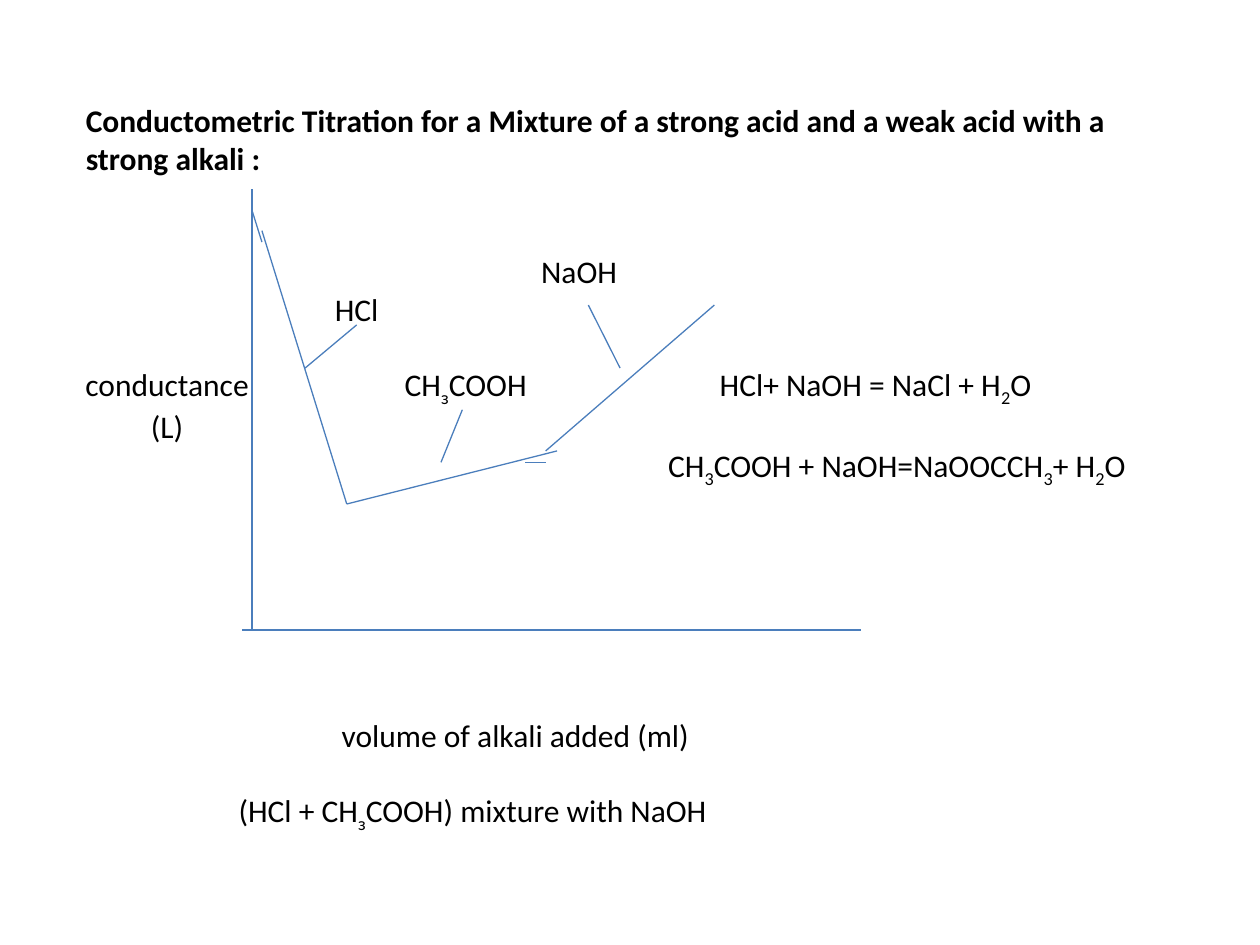
from lxml import etree
from pptx import Presentation
from pptx.dml.color import RGBColor
from pptx.enum.shapes import MSO_CONNECTOR
from pptx.enum.text import PP_ALIGN
from pptx.oxml.ns import qn
from pptx.util import Cm, Pt

STRAIGHT = MSO_CONNECTOR.STRAIGHT
LEFT = PP_ALIGN.LEFT
CENTER = PP_ALIGN.CENTER
COLORS = {"line": "4B7EBC", "text": "000000"}


class SlideBuilder:
    font_name = "Calibri"
    font_size = Pt(18)
    line_width = Pt(0.75)

    def __init__(self, slide):
        self.slide = slide

    def line(self, start_x, start_y, end_x, end_y):
        connector = self.slide.shapes.add_connector(
            STRAIGHT, Cm(start_x), Cm(start_y), Cm(end_x), Cm(end_y))
        connector.line.color.rgb = RGBColor.from_string(COLORS["line"])
        connector.line.width = self.line_width
        etree.SubElement(connector._element.spPr, qn("a:effectLst"))

    def text(self, left, top, width, lines, bold=False, align=LEFT, gap=0):
        height = 0.78 * len(lines)
        shape = self.slide.shapes.add_textbox(Cm(left), Cm(top), Cm(width), Cm(height))
        frame = shape.text_frame
        frame.word_wrap = True
        frame.margin_left = frame.margin_right = 0
        frame.margin_top = frame.margin_bottom = 0
        for index, line in enumerate(lines):
            paragraph = frame.add_paragraph() if index else frame.paragraphs[0]
            paragraph.alignment = align
            paragraph.space_before = Pt(gap if index else 0)
            paragraph.font.name = self.font_name
            paragraph.font.size = self.font_size
            paragraph.font.bold = bold
            paragraph.font.color.rgb = RGBColor.from_string(COLORS["text"])
            self.formula(paragraph, line)

    def formula(self, paragraph, line):
        for index, part in enumerate(line.split("_")):
            run = paragraph.add_run()
            run.text = part
            if index % 2:
                run._r.get_or_add_rPr().set("baseline", "-25000")


def main():
    presentation = Presentation()
    presentation.slide_width = Cm(25.4)
    presentation.slide_height = Cm(19.05)
    builder = SlideBuilder(presentation.slides.add_slide(presentation.slide_layouts[6]))

    axes = [(5.08, 3.81, 5.08, 12.7), (4.88, 12.7, 17.35, 12.7)]
    curve = [
        (5.28, 4.88, 5.08, 4.24),
        (5.28, 4.65, 6.99, 10.16),
        (6.99, 10.16, 11.23, 9.09),
        (10.59, 9.32, 11, 9.32),
        (11, 9.09, 14.4, 6.15),
    ]
    pointers = [
        (6.15, 7.42, 7.19, 6.55),
        (8.89, 9.32, 9.32, 8.26),
        (12.5, 7.42, 11.86, 6.15),
    ]
    for points in axes + curve + pointers:
        builder.line(*points)

    builder.text(1.73, 2.04, 22.15, [
        "Conductometric Titration for a Mixture of a strong acid and a weak acid with a",
        "strong alkali :",
    ], bold=True)
    builder.text(1.53, 7.36, 3.68, ["conductance", "(L)"], align=CENTER, gap=2.6)

    labels = [
        (10.91, 5.08, 2, "NaOH"),
        (6.75, 5.85, 1.5, "HCl"),
        (8.16, 7.36, 3, "CH_ɜ_COOH"),
        (14.51, 7.36, 7.5, "HCl+ NaOH = NaCl + H_2_O"),
        (13.47, 8.99, 10.5, "CH_3_COOH + NaOH=NaOOCCH_3_+ H_2_O"),
        (6.89, 14.43, 8, "volume of alkali added (ml)"),
    ]
    for left, top, width, label in labels:
        builder.text(left, top, width, [label])
    builder.text(4.46, 15.95, 10.14, ["(HCl + CH_ɜ_COOH) mixture with NaOH"], align=CENTER)

    presentation.save("out.pptx")


if __name__ == "__main__":
    main()
